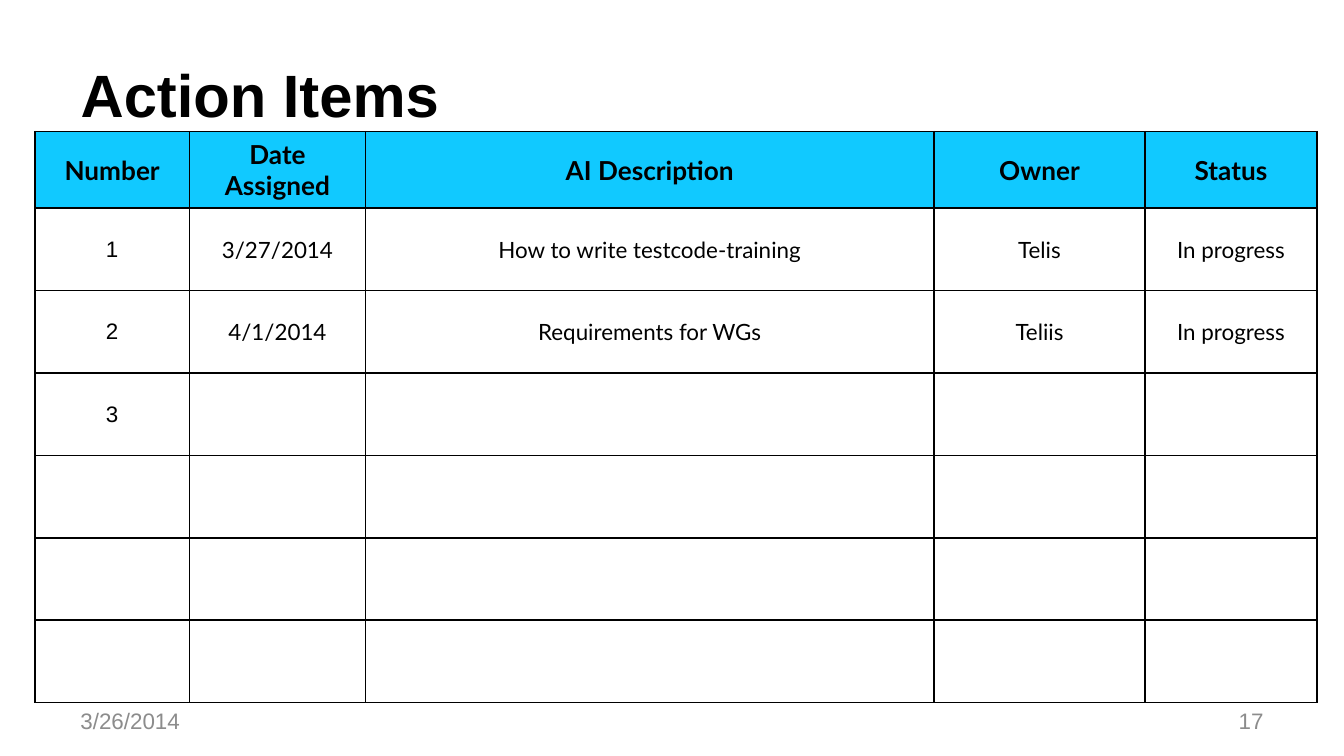
from pptx import Presentation
from pptx.dml.color import RGBColor as RGB
from pptx.enum.text import MSO_ANCHOR as Anchor, PP_ALIGN as Align
from pptx.oxml import parse_xml
from pptx.oxml.ns import nsdecls
from pptx.util import Inches, Pt

COLORS = {"ink": "000000", "head": "11C9FF", "foot": "8C8C8C"}
COLS = [1.15, 1.31, 4.23, 1.57, 1.28]
HEADS = ["Number", "Date Assigned", "AI Description", "Owner", "Status"]
ITEMS = [
    ["1", "3/27/2014", "How to write testcode-training", "Telis", "In progress"],
    ["2", "4/1/2014", "Requirements for WGs", "Teliis", "In progress"],
    ["3"],
    [],
    [],
    [],
]


def style(para, size, face, color, align, bold=False):
    para.alignment = align
    font = para.font
    font.size, font.name, font.bold = Pt(size), face, bold
    font.color.rgb = RGB.from_string(COLORS[color])


def add_title(slide, box, text):
    title = slide.shapes.title
    title.left, title.top, title.width, title.height = map(Inches, box)
    frame = title.text_frame
    frame.text = text
    frame.vertical_anchor = Anchor.MIDDLE
    style(frame.paragraphs[0], 32, "Arial", "ink", Align.LEFT, True)


def add_border(cell):
    props = cell._tc.get_or_add_tcPr()
    for side in ("lnL", "lnR", "lnT", "lnB"):
        props.append(parse_xml(
            f'<a:{side} {nsdecls("a")} w="{Pt(1)}"><a:solidFill>'
            f'<a:srgbClr val="{COLORS["ink"]}"/></a:solidFill></a:{side}>'))


def fill_cell(cell, text, head, face):
    cell.vertical_anchor = Anchor.MIDDLE
    cell.margin_left = cell.margin_right = Inches(0.13)
    cell.margin_top = cell.margin_bottom = Inches(0.05)
    add_border(cell)
    if head:
        cell.fill.solid()
        cell.fill.fore_color.rgb = RGB.from_string(COLORS["head"])
    else:
        cell.fill.background()
    cell.text = text
    size = 14 if head else 12
    style(cell.text_frame.paragraphs[0], size, face, "ink", Align.CENTER, head)


def add_items(slide, box):
    rows = [HEADS] + ITEMS
    grid = slide.shapes.add_table(len(rows), len(COLS), *map(Inches, box)).table
    grid.horz_banding = False
    for col, width in zip(grid.columns, COLS):
        col.width = Inches(width)
    top = 0.57
    step = (box[3] - top) / len(ITEMS)
    for r, row in enumerate(rows):
        head = r == 0
        grid.rows[r].height = Inches(top if head else step)
        for c in range(len(COLS)):
            text = row[c] if c < len(row) else ""
            face = "Arial" if c == 0 and not head else "Lato"
            fill_cell(grid.cell(r, c), text, head, face)


def add_foot(slide, box, text, align):
    frame = slide.shapes.add_textbox(*map(Inches, box)).text_frame
    frame.word_wrap = True
    frame.vertical_anchor = Anchor.MIDDLE
    frame.text = text
    style(frame.paragraphs[0], 12, "Arial", "foot", align)


def main():
    deck = Presentation()
    deck.slide_width = Inches(10)
    deck.slide_height = deck.slide_width * 9 // 16
    slide = deck.slides.add_slide(deck.slide_layouts[5])

    # Title
    add_title(slide, (0.5, 0.23, 9, 0.94), "Action Items")
    # Action item table
    add_items(slide, (0.26, 0.98, 9.54, 4.25))
    # Date and slide number
    add_foot(slide, (0.5, 5.21, 2.33, 0.3), "3/26/2014", Align.LEFT)
    add_foot(slide, (7.17, 5.21, 2.33, 0.3), "17", Align.RIGHT)

    deck.save("out.pptx")


if __name__ == "__main__":
    main()
